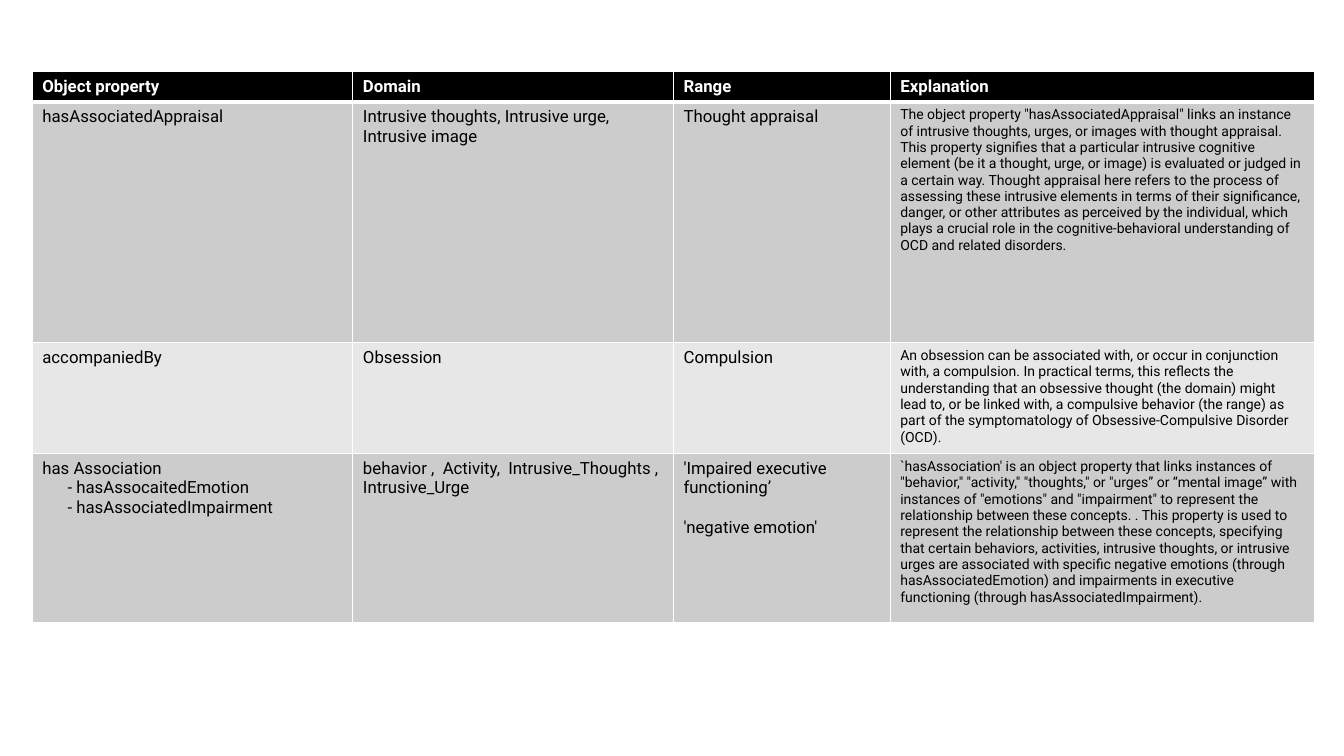
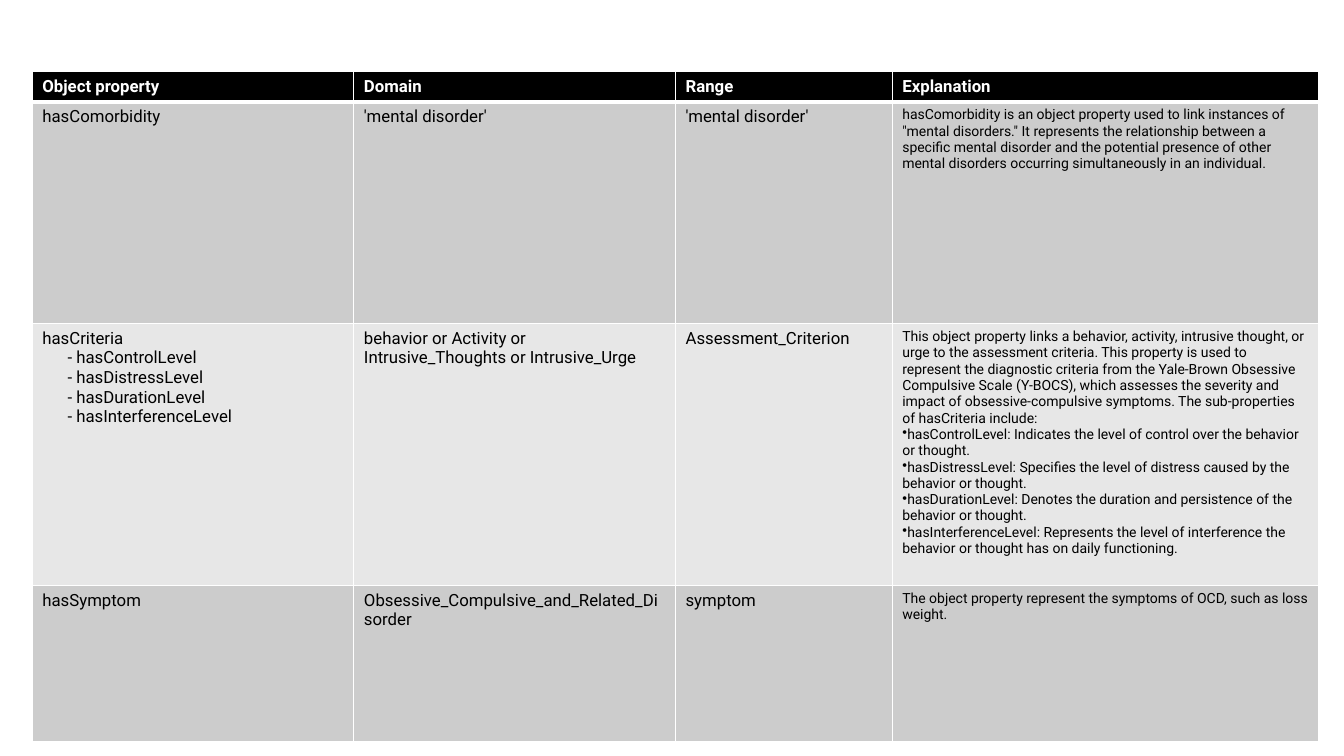
from lxml import etree
from pptx import Presentation
from pptx.dml.color import RGBColor
from pptx.oxml import ns
from pptx.util import Inches, Pt

BLACK = RGBColor(0x00, 0x00, 0x00)
WHITE = RGBColor(0xFF, 0xFF, 0xFF)
DARK_BAND = RGBColor(0xCC, 0xCC, 0xCC)
LIGHT_BAND = RGBColor(0xE7, 0xE7, 0xE7)

FONT = "Roboto"
LABEL_SIZE, EXPLANATION_SIZE = Pt(12), Pt(10)
TABLE_LEFT, TABLE_TOP = Inches(0.32), Inches(0.71)
HEADINGS = ["Object property", "Domain", "Range", "Explanation"]

# A line that starts with "- " is a sub-property, one with "•" is a bullet,
# and an empty line leaves a gap above the next paragraph.
ASSOCIATIONS = [
    ["hasAssociatedAppraisal",
     "Intrusive thoughts, Intrusive urge, Intrusive image",
     "Thought appraisal",
     'The object property "hasAssociatedAppraisal" links an instance of intrusive '
     "thoughts, urges, or images with thought appraisal. This property signifies that "
     "a particular intrusive cognitive element (be it a thought, urge, or image) is "
     "evaluated or judged in a certain way. Thought appraisal here refers to the "
     "process of assessing these intrusive elements in terms of their significance, "
     "danger, or other attributes as perceived by the individual, which plays a "
     "crucial role in the cognitive-behavioral understanding of OCD and related "
     "disorders."],
    ["accompaniedBy",
     "Obsession",
     "Compulsion",
     "An obsession can be associated with, or occur in conjunction with, a compulsion. "
     "In practical terms, this reflects the understanding that an obsessive thought "
     "(the domain) might lead to, or be linked with, a compulsive behavior (the range) "
     "as part of the symptomatology of Obsessive-Compulsive Disorder (OCD)."],
    ["has Association\n- hasAssocaitedEmotion\n- hasAssociatedImpairment",
     "behavior ,  Activity,  Intrusive_Thoughts ,  Intrusive_Urge",
     "'Impaired executive functioning’\n\n'negative emotion'",
     "`hasAssociation' is an object property that links instances of \"behavior,\" "
     '"activity," "thoughts," or "urges” or “mental image” with instances of '
     '"emotions" and "impairment" to represent the relationship between these '
     "concepts. . This property is used to represent the relationship between these "
     "concepts, specifying that certain behaviors, activities, intrusive thoughts, or "
     "intrusive urges are associated with specific negative emotions "
     "(through hasAssociatedEmotion) and impairments in executive functioning "
     "(through hasAssociatedImpairment)."],
]

CRITERIA = [
    ["hasComorbidity",
     "'mental disorder'",
     "'mental disorder'",
     'hasComorbidity is an object property used to link instances of "mental '
     'disorders." It represents the relationship between a specific mental disorder '
     "and the potential presence of other mental disorders occurring simultaneously in "
     "an individual."],
    ["hasCriteria\n- hasControlLevel\n- hasDistressLevel\n- hasDurationLevel\n"
     "- hasInterferenceLevel",
     "behavior or Activity or Intrusive_Thoughts or Intrusive_Urge",
     "Assessment_Criterion",
     "This object property links a behavior, activity, intrusive thought, or urge to "
     "the assessment criteria. This property is used to represent the diagnostic "
     "criteria from the Yale-Brown Obsessive Compulsive Scale (Y-BOCS), which assesses "
     "the severity and impact of obsessive-compulsive symptoms. The sub-properties "
     "of hasCriteria include:\n"
     "•hasControlLevel: Indicates the level of control over the behavior or thought.\n"
     "•hasDistressLevel: Specifies the level of distress caused by the behavior or "
     "thought.\n"
     "•hasDurationLevel: Denotes the duration and persistence of the behavior or "
     "thought.\n"
     "•hasInterferenceLevel: Represents the level of interference the behavior or "
     "thought has on daily functioning."],
    ["hasSymptom",
     "Obsessive_Compulsive_and_Related_Disorder",
     "symptom",
     "The object property represent the symptoms of OCD, such as loss weight."],
]


def set_borders(cell, top, bottom):
    """Draw white cell borders; top and bottom are widths in points."""
    props = cell._tc.get_or_add_tcPr()
    for side, width in (("L", 1), ("R", 1), ("T", top), ("B", bottom)):
        line = etree.SubElement(props, ns.qn(f"a:ln{side}"), w=str(Pt(width)))
        fill = etree.SubElement(line, ns.qn("a:solidFill"))
        etree.SubElement(fill, ns.qn("a:srgbClr"), val=str(WHITE))


def set_indent(para, left, bullet=None):
    props = para._p.get_or_add_pPr()
    props.set("marL", str(left))
    props.set("indent", "0")
    if bullet:
        etree.SubElement(props, ns.qn("a:buChar"), char=bullet)


def write_text(cell, content, size, color, bold):
    frame = cell.text_frame
    para, gap = frame.paragraphs[0], False
    for index, line in enumerate(content.split("\n")):
        if not line:
            gap = True
            continue
        if index:
            para = frame.add_paragraph()
        para.text = line.removeprefix("•")
        para.font.name, para.font.size = FONT, size
        para.font.color.rgb, para.font.bold = color, bold
        if gap:
            para.space_before, gap = Pt(14), False
        if line.startswith("- "):
            set_indent(para, Inches(0.25))
        elif line.startswith("•"):
            set_indent(para, 0, "•")


def fill_row(table, index, contents):
    header = index == 0
    band = BLACK if header else DARK_BAND if index % 2 else LIGHT_BAND
    for column, content in enumerate(contents):
        cell = table.cell(index, column)
        set_borders(cell, top=3 if index == 1 else 1, bottom=3 if header else 1)
        cell.fill.solid()
        cell.fill.fore_color.rgb = band
        explains = not header and column == len(HEADINGS) - 1
        write_text(cell, content, EXPLANATION_SIZE if explains else LABEL_SIZE,
                   WHITE if header else BLACK, header)


def add_property_page(deck, properties, widths, heights):
    page = deck.slides.add_slide(deck.slide_layouts[6])
    table = page.shapes.add_table(
        len(heights), len(widths), TABLE_LEFT, TABLE_TOP,
        Inches(sum(widths)), Inches(sum(heights))).table
    table.horz_banding = False
    for column, width in zip(table.columns, widths):
        column.width = Inches(width)
    for row, height in zip(table.rows, heights):
        row.height = Inches(height)
    for index, contents in enumerate([HEADINGS, *properties]):
        fill_row(table, index, contents)


def main():
    deck = Presentation()
    deck.slide_width, deck.slide_height = Inches(13.33), Inches(7.5)
    # Association properties
    add_property_page(deck, ASSOCIATIONS, [3.18, 3.18, 2.15, 4.21], [0.3, 2.39, 1.1, 1.68])
    # Comorbidity, criteria and symptom properties
    add_property_page(deck, CRITERIA, [3.19, 3.19, 2.15, 4.23], [0.3, 2.2, 2.6, 1.55])
    deck.save("out.pptx")


if __name__ == "__main__":
    main()
